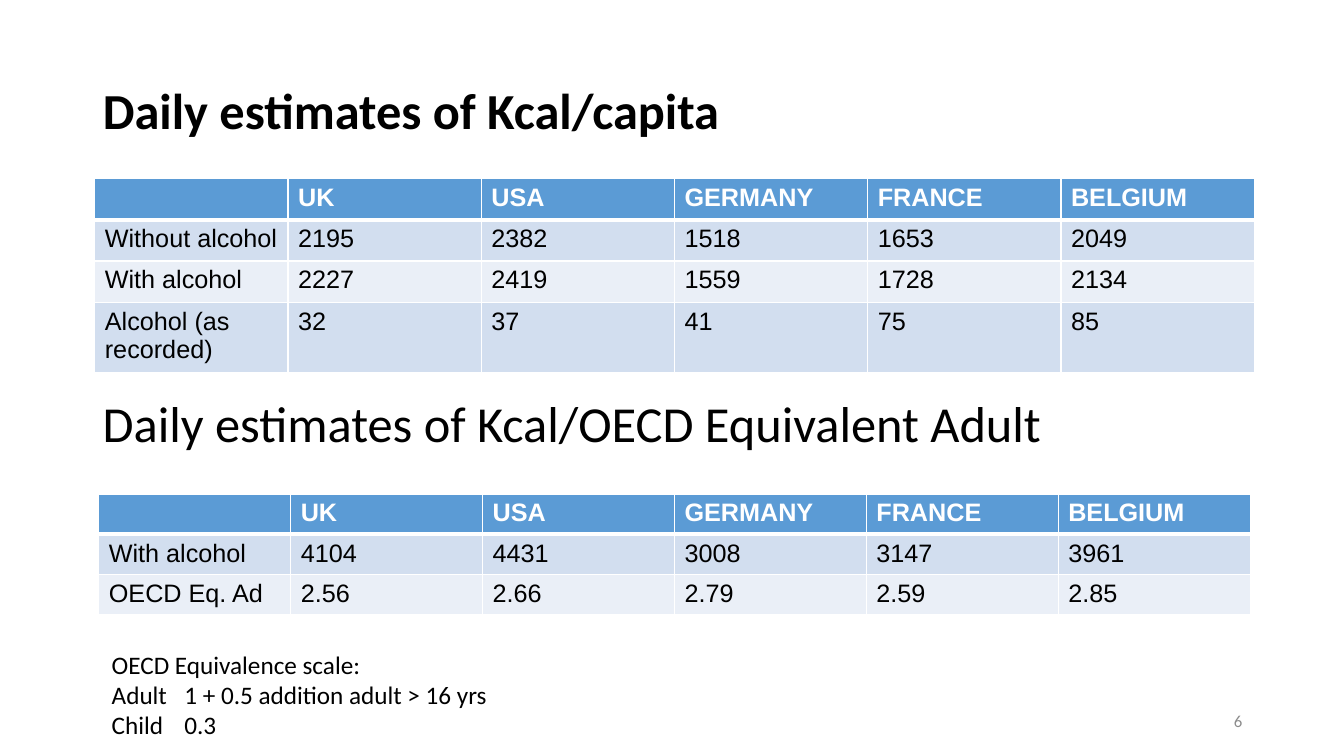
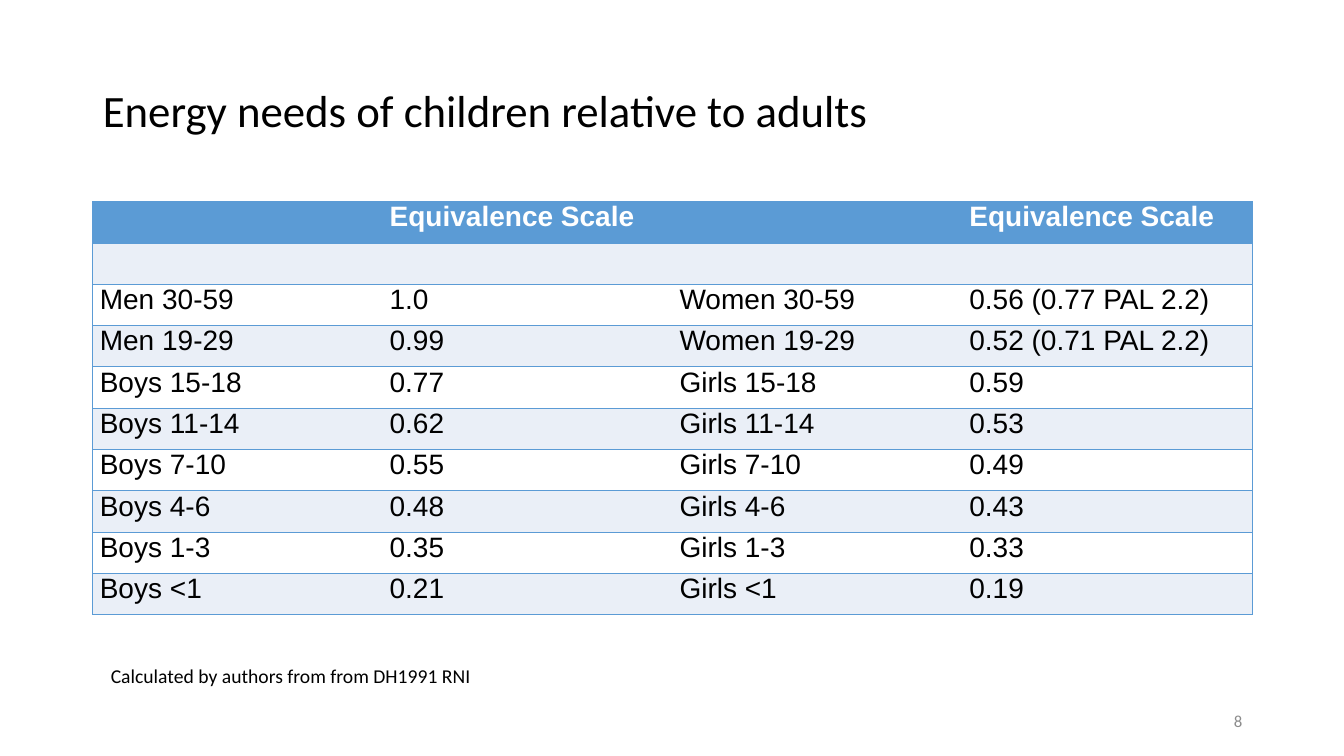
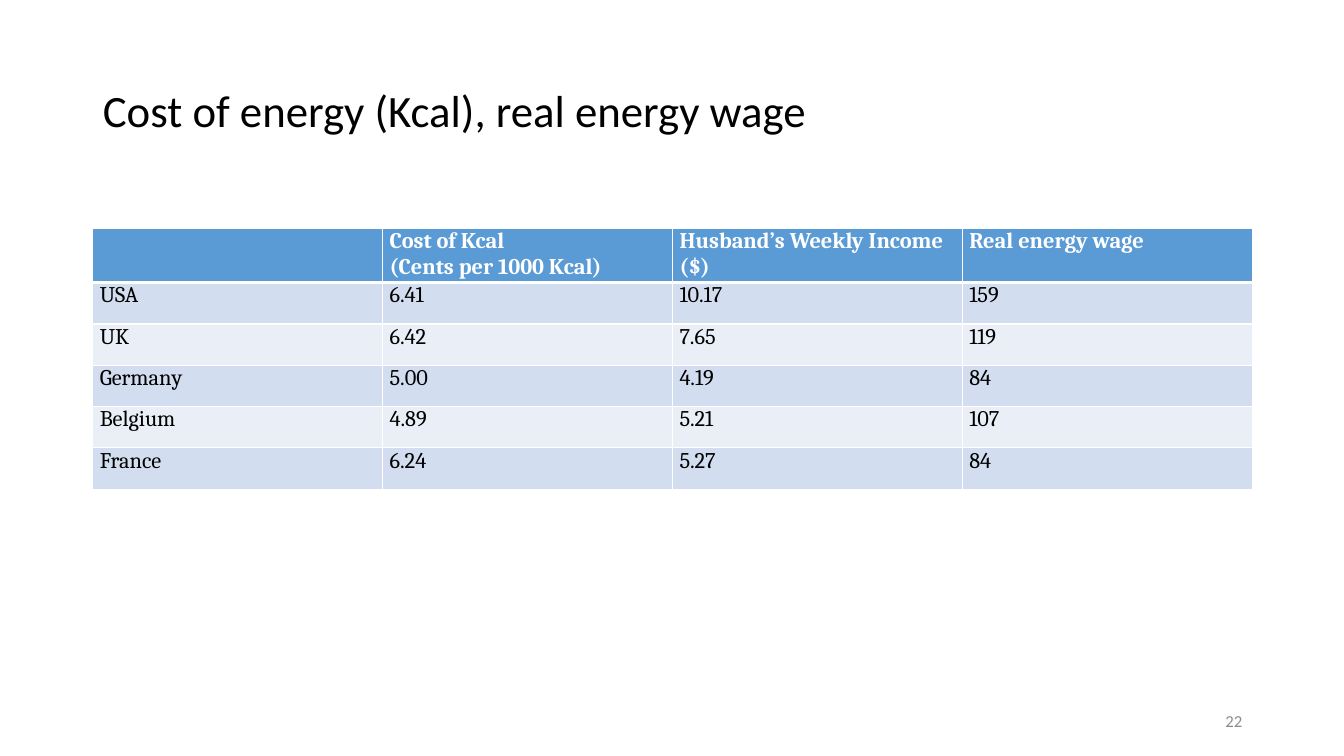
from dataclasses import dataclass

from lxml import etree
from pptx import Presentation
from pptx.dml.color import RGBColor
from pptx.enum.text import MSO_ANCHOR, MSO_AUTO_SIZE, PP_ALIGN
from pptx.oxml.ns import qn
from pptx.util import Inches, Pt

LEFT, RIGHT = PP_ALIGN.LEFT, PP_ALIGN.RIGHT
TOP, MIDDLE = MSO_ANCHOR.TOP, MSO_ANCHOR.MIDDLE
FIXED_SIZE = MSO_AUTO_SIZE.NONE
TITLE_ONLY = 5


@dataclass(frozen=True)
class Theme:
    black: str = "000000"
    white: str = "FFFFFF"
    gray: str = "8C8C8C"
    blue: str = "5B9BD5"
    band: str = "D2DEEF"
    pale: str = "EAEFF7"
    body_font: str = "Calibri"
    grid_font: str = "Arial"
    serif_font: str = "Cambria"
    heading: int = 36
    title: int = 32
    large: int = 20
    body: int = 18
    table: int = 16
    note: int = 14
    number: int = 12
    thin: float = 1
    thick: float = 3


THEME = Theme()
TITLE_BOX = (0.92, 0.4, 11.5, 1.45)
NUMBER_BOX = (9.42, 6.95, 3, 0.4)
ROW_HEIGHT = 0.41
COUNTRIES = ["", "UK", "USA", "GERMANY", "FRANCE", "BELGIUM"]

PER_CAPITA = [
    COUNTRIES,
    ["Without alcohol", "2195", "2382", "1518", "1653", "2049"],
    ["With alcohol", "2227", "2419", "1559", "1728", "2134"],
    ["Alcohol (as recorded)", "32", "37", "41", "75", "85"],
]
PER_ADULT = [
    COUNTRIES,
    ["With alcohol", "4104", "4431", "3008", "3147", "3961"],
    ["OECD Eq. Ad", "2.56", "2.66", "2.79", "2.59", "2.85"],
]
ENERGY_NEEDS = [
    ["", "Equivalence Scale", "", "Equivalence Scale"],
    ["", "", "", ""],
    ["Men 30-59", "1.0", "Women 30-59", "0.56 (0.77 PAL 2.2)"],
    ["Men 19-29", "0.99", "Women 19-29", "0.52 (0.71 PAL 2.2)"],
    ["Boys 15-18", "0.77", "Girls 15-18", "0.59"],
    ["Boys 11-14", "0.62", "Girls 11-14", "0.53"],
    ["Boys 7-10", "0.55", "Girls 7-10", "0.49"],
    ["Boys 4-6", "0.48", "Girls 4-6", "0.43"],
    ["Boys 1-3", "0.35", "Girls 1-3", "0.33"],
    ["Boys <1", "0.21", "Girls <1", "0.19"],
]
ENERGY_COST = [
    ["", "Cost of Kcal\n(Cents per 1000 Kcal)",
     "Husband’s Weekly Income ($)", "Real energy wage"],
    ["USA", "6.41", "10.17", "159"],
    ["UK", "6.42", "7.65", "119"],
    ["Germany", "5.00", "4.19", "84"],
    ["Belgium", "4.89", "5.21", "107"],
    ["France", "6.24", "5.27", "84"],
]


def write_text(frame, text, size=THEME.body, font=THEME.body_font,
               color=THEME.black, bold=False, align=LEFT, spacing=None, tab=None):
    for index, line in enumerate(text.split("\n")):
        para = frame.add_paragraph() if index else frame.paragraphs[0]
        para.alignment = align
        if spacing:
            para.line_spacing = spacing
        if tab:
            stops = etree.SubElement(para._p.get_or_add_pPr(), qn("a:tabLst"))
            etree.SubElement(stops, qn("a:tab"), pos=str(Inches(tab)), algn="l")
        span = para.add_run()
        span.text = line
        span.font.size = Pt(size)
        span.font.name = font
        span.font.bold = bold
        span.font.color.rgb = RGBColor.from_string(color)


def add_text(page, box, text, wrap=True, anchor=TOP, **style):
    frame = page.shapes.add_textbox(*map(Inches, box)).text_frame
    frame.word_wrap = wrap
    frame.vertical_anchor = anchor
    write_text(frame, text, **style)


def add_page(deck, title, number, size=THEME.title, bold=False):
    page = deck.slides.add_slide(deck.slide_layouts[TITLE_ONLY])
    heading = page.shapes.title
    heading.left, heading.top, heading.width, heading.height = map(Inches, TITLE_BOX)
    frame = heading.text_frame
    frame.auto_size = FIXED_SIZE
    frame.vertical_anchor = MIDDLE
    write_text(frame, title, size=size, bold=bold, spacing=0.9)
    add_text(page, NUMBER_BOX, str(number), anchor=MIDDLE,
             size=THEME.number, color=THEME.gray, align=RIGHT)
    return page


def set_borders(cell, borders):
    properties = cell._tc.get_or_add_tcPr()
    for side in "LRTB":
        color, width = borders[side]
        line = etree.SubElement(properties, qn(f"a:ln{side}"), w=str(Pt(width)))
        if color:
            fill = etree.SubElement(line, qn("a:solidFill"))
            etree.SubElement(fill, qn("a:srgbClr"), val=color)
        else:
            etree.SubElement(line, qn("a:noFill"))


def white_grid(row, column, last_column):
    thin, thick = (THEME.white, THEME.thin), (THEME.white, THEME.thick)
    return {"L": thin, "R": thin,
            "T": thick if row == 1 else thin,
            "B": thick if row == 0 else thin}


def blue_rules(row, column, last_column):
    rule, blank = (THEME.blue, THEME.thin), (None, THEME.thin)
    return {"L": rule if column == 0 else blank,
            "R": rule if column == last_column else blank,
            "T": rule, "B": rule}


def add_grid(page, left, top, width, rows, heights, bands=(THEME.band, THEME.pale),
             borders=white_grid, tight=False, **style):
    columns = len(rows[0])
    box = map(Inches, (left, top, width, sum(heights)))
    table = page.shapes.add_table(len(rows), columns, *box).table
    table.horz_banding = False
    for column in table.columns:
        column.width = Inches(width / columns)
    for r, (values, height) in enumerate(zip(rows, heights)):
        table.rows[r].height = Inches(height)
        for c, value in enumerate(values):
            cell = table.cell(r, c)
            set_borders(cell, borders(r, c, columns - 1))
            cell.fill.solid()
            fill = bands[(r - 1) % 2] if r else THEME.blue
            cell.fill.fore_color.rgb = RGBColor.from_string(fill)
            if tight:
                cell.margin_left = cell.margin_right = Inches(0.07)
                cell.margin_top = cell.margin_bottom = 0
            if value:
                write_text(cell.text_frame, value, bold=r == 0,
                           color=THEME.black if r else THEME.white, **style)


def build_daily_estimates(deck):
    page = add_page(deck, "Daily estimates of Kcal/capita", 6, THEME.heading, bold=True)
    add_grid(page, 0.94, 1.77, 11.5, PER_CAPITA, [ROW_HEIGHT] * 3 + [0.65],
             font=THEME.grid_font)
    add_grid(page, 0.98, 4.9, 11.42, PER_ADULT, [0.39] * 3, font=THEME.grid_font)
    add_text(page, (0.92, 3.84, 9.66, 0.71),
             "Daily estimates of Kcal/OECD Equivalent Adult",
             wrap=False, size=THEME.heading)
    add_text(page, (1.01, 6.39, 11.4, 1.01),
             "OECD Equivalence scale:\n"
             "Adult\t1 + 0.5 addition adult > 16 yrs\n"
             "Child\t0.3", tab=0.72)


def build_energy_needs(deck):
    page = add_page(deck, "Energy needs of children relative to adults", 8)
    add_grid(page, 0.92, 2, 11.5, ENERGY_NEEDS, [ROW_HEIGHT] * len(ENERGY_NEEDS),
             bands=(THEME.pale, THEME.white), borders=blue_rules, tight=True,
             size=THEME.large, font=THEME.grid_font)
    add_text(page, (1, 6.54, 3.81, 0.34), "Calculated by authors from from DH1991 RNI",
             wrap=False, size=THEME.note)


def build_energy_cost(deck):
    page = add_page(deck, "Cost of energy (Kcal), real energy wage", 22)
    add_grid(page, 0.92, 2.27, 11.5, ENERGY_COST, [0.5] + [ROW_HEIGHT] * 5, tight=True,
             size=THEME.table, font=THEME.serif_font)


def main():
    deck = Presentation()
    deck.slide_width, deck.slide_height = Inches(13.33), Inches(7.5)
    build_daily_estimates(deck)
    build_energy_needs(deck)
    build_energy_cost(deck)
    deck.save("out.pptx")


if __name__ == "__main__":
    main()
